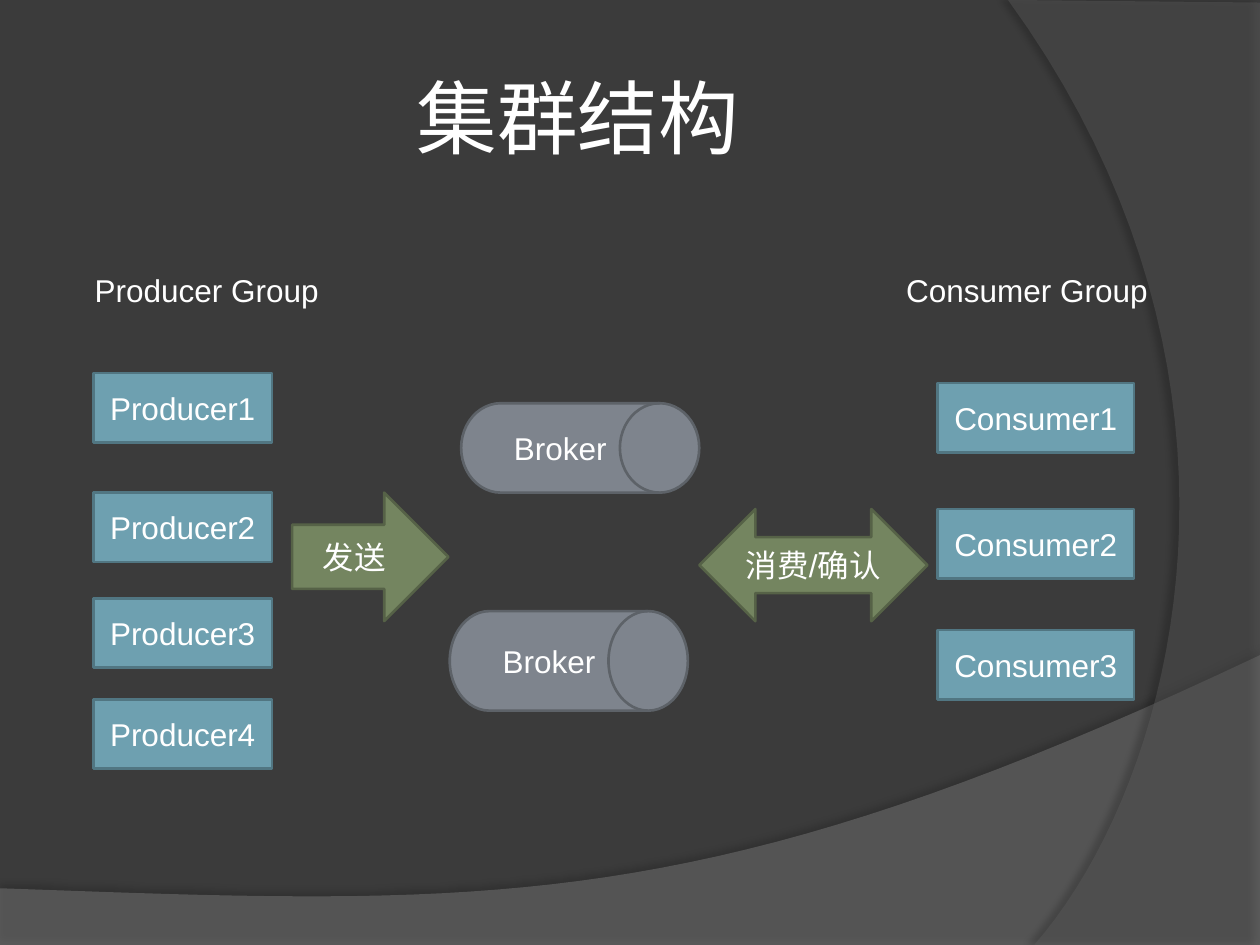
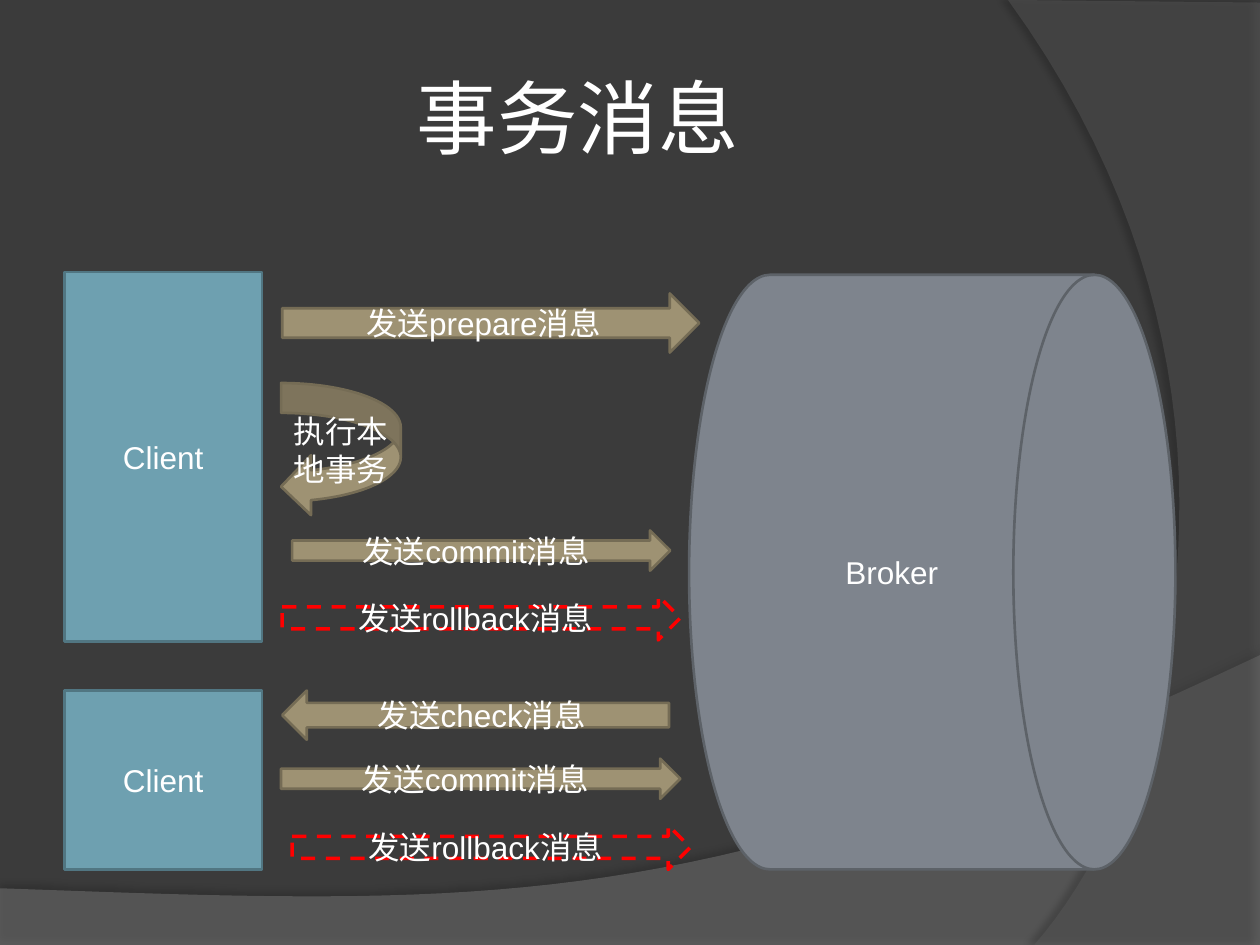
from lxml.etree import SubElement
from pptx import Presentation
from pptx.dml.color import RGBColor
from pptx.enum.dml import MSO_LINE
from pptx.enum.shapes import MSO_SHAPE
from pptx.enum.text import MSO_ANCHOR, MSO_AUTO_SIZE, PP_ALIGN
from pptx.oxml.ns import qn
from pptx.util import Pt

WHITE, BLACK, RED = "FFFFFF", "000000", "FF0000"
# Fill and line of each kind of part
NODE = ("6EA0B0", "517682")
DRUM = ("7E848D", "5D6268")
FLOW = ("748560", "566247")
STEP = ("9E9273", "756C55")
UNDO = (None, RED)

RECT = MSO_SHAPE.FLOWCHART_PROCESS
STORE = MSO_SHAPE.FLOWCHART_DIRECT_ACCESS_STORAGE
RIGHT = MSO_SHAPE.RIGHT_ARROW
LEFT = MSO_SHAPE.LEFT_ARROW
BOTH = MSO_SHAPE.LEFT_RIGHT_ARROW
TURN = MSO_SHAPE.CURVED_LEFT_ARROW


def paint(color, code):
    color.rgb = RGBColor.from_string(code)


def write(shape, text, font="Arial", size=18):
    frame = shape.text_frame
    frame.word_wrap = True
    frame.text = text
    para = frame.paragraphs[0]
    para.alignment = PP_ALIGN.CENTER
    para.font.name = font
    para.font.size = Pt(size)
    paint(para.font.color, WHITE)
    return frame


def put(slide, kind, box, text, style):
    """Add a labelled preset shape; one without fill gets a dashed line."""
    shape = slide.shapes.add_shape(kind, *map(Pt, box))
    shape.shadow.inherit = False
    fill, line = style
    paint_line = shape.line
    paint(paint_line.color, line)
    if fill:
        shape.fill.solid()
        paint(shape.fill.fore_color, fill)
        paint_line.width = Pt(1.5)
    else:
        shape.fill.background()
        paint_line.width = Pt(2)
        paint_line.dash_style = MSO_LINE.DASH
    write(shape, text).vertical_anchor = MSO_ANCHOR.MIDDLE


# Shared backdrop
def curve(start, pull, push, end, count=40):
    """Points on a cubic curve, without its start."""
    for step in range(1, count + 1):
        t = step / count
        s = 1 - t
        yield tuple(s**3 * a + 3 * s * s * t * b + 3 * s * t * t * c + t**3 * d
                    for a, b, c, d in zip(start, pull, push, end))


def set_alpha(color, share):
    SubElement(color, qn("a:alpha")).set("val", str(share * 1000))


def add_wave(prs, slide, points, code, share, shade):
    """Draw a see-through outline with a shadow and move it to the master."""
    first, *rest = [tuple(map(Pt, point)) for point in points]
    build = slide.shapes.build_freeform(*first)
    build.add_line_segments(rest, close=True)
    wave = build.convert_to_shape()
    wave.line.fill.background()
    wave.fill.solid()
    paint(wave.fill.fore_color, code)
    wave.shadow.inherit = False
    props = wave.element.spPr
    set_alpha(props.find(".//" + qn("a:srgbClr")), share)
    dark, blur, gap, angle = shade
    cast = SubElement(props.find(qn("a:effectLst")), qn("a:outerShdw"))
    for key, value in (("blurRad", Pt(blur)), ("dist", Pt(gap)),
                       ("dir", angle * 60000), ("rotWithShape", 0)):
        cast.set(key, str(value))
    tint = SubElement(cast, qn("a:srgbClr"))
    tint.set("val", BLACK)
    set_alpha(tint, dark)
    prs.slide_master.shapes.element.append(wave.element)


def add_backdrop(prs, slide):
    fill = prs.slide_master.background.fill
    fill.solid()
    paint(fill.fore_color, "3B3B3B")
    hill = [(0, 507.6), (0, 540), (720, 540), (720, 374.4),
            *curve((720, 374.4), (402.5, 524.9), (281.5, 517.7), (0, 507.6))]
    side = [(720, 1.5), (720, 540), (591, 540),
            *curve((591, 540), (673.2, 445.7), (733, 216), (576, 0))]
    add_wave(prs, slide, hill, "7F7F7F", 45, (35, 4, 3.5, 270))
    add_wave(prs, slide, side, "5E5E5E", 40, (45, 4, 4, 180))


def add_page(prs, text):
    slide = prs.slides.add_slide(prs.slide_layouts[5])
    title = slide.shapes.title
    title.left, title.top, title.width, title.height = map(
        Pt, (36, 21.6, 588.2, 90))
    frame = write(title, text, "Roboto", 46)
    frame.auto_size = MSO_AUTO_SIZE.NONE
    frame.vertical_anchor = MSO_ANCHOR.MIDDLE
    frame.margin_left = frame.margin_right = Pt(3.6)
    frame.margin_top = frame.margin_bottom = Pt(3.6)
    return slide


# Cluster: a heading over a column of numbered nodes
def add_group(slide, box, name, inset, width, tops):
    left, top = box[:2]
    label = slide.shapes.add_textbox(*map(Pt, box))
    write(label, name + " Group").auto_size = MSO_AUTO_SIZE.SHAPE_TO_FIT_TEXT
    for number, down in enumerate(tops, 1):
        put(slide, RECT, (left + inset, top + down, width, 39.6),
            f"{name}{number}", NODE)


# Cluster: brokers between the two flow arrows
def add_center(slide, left, top):
    for kind, x, y, width, height, text, style in (
            (STORE, 96.5, 0, 136.1, 51.1, "Broker", DRUM),
            (STORE, 90, 118.8, 136.1, 56.9, "Broker", DRUM),
            (RIGHT, 0, 51.1, 89.3, 73.4, "发送", FLOW),
            (BOTH, 232.6, 60.5, 130.3, 64.1, "消费/确认", FLOW)):
        put(slide, kind, (left + x, top + y, width, height), text, style)


# Transaction: a client and the steps beside it
def add_phase(slide, box, steps):
    left, top = box[:2]
    put(slide, RECT, box, "Client", NODE)
    for kind, x, y, width, height, text, style in steps:
        put(slide, kind, (left + x, top + y, width, height), text, style)


def add_cluster(prs):
    slide = add_page(prs, "集群结构")
    add_backdrop(prs, slide)
    add_center(slide, 167, 230.4)
    add_group(slide, (36, 151.2, 164.2, 28.8), "Producer", 17.3, 102.2,
              (61.9, 130.3, 190.8, 248.4))
    add_group(slide, (496.1, 151.2, 181.4, 28.8), "Consumer", 39.6, 112.3,
              (67.7, 139.7, 208.8))


def add_deal(prs):
    slide = add_page(prs, "事务消息")
    put(slide, STORE, (393.8, 157, 277.9, 339.8), "Broker", DRUM)
    commit, undo = "发送commit消息", "发送rollback消息"
    add_phase(slide, (36.7, 155.5, 113, 211), (
        (RIGHT, 124.6, 12.2, 238.3, 33.8, "发送prepare消息", STEP),
        (TURN, 123.9, 63.4, 68.4, 76.3, "执行本地事务", STEP),
        (RIGHT, 130.3, 147.6, 216, 23, commit, STEP),
        (RIGHT, 124.6, 185, 227.5, 25.2, undo, UNDO)))
    add_phase(slide, (36.7, 394.6, 113, 102.2), (
        (LEFT, 124.6, 0, 221, 28.1, "发送check消息", STEP),
        (RIGHT, 123.9, 38.9, 228.2, 23, commit, STEP),
        (RIGHT, 130.3, 77, 227.5, 25.2, undo, UNDO)))


def main():
    prs = Presentation()
    prs.slide_width, prs.slide_height = Pt(720), Pt(540)
    add_cluster(prs)
    add_deal(prs)
    prs.save("out.pptx")


if __name__ == "__main__":
    main()
